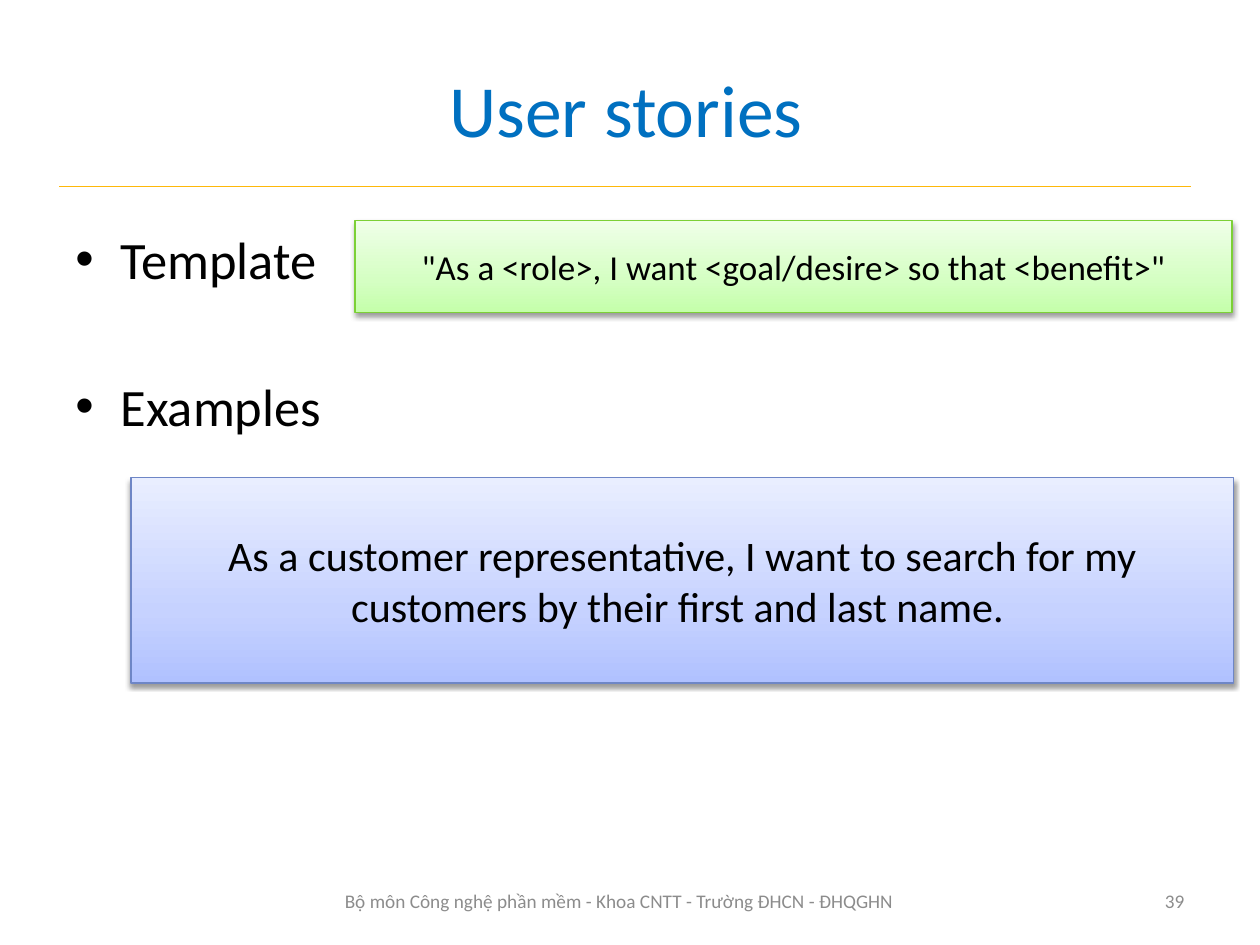
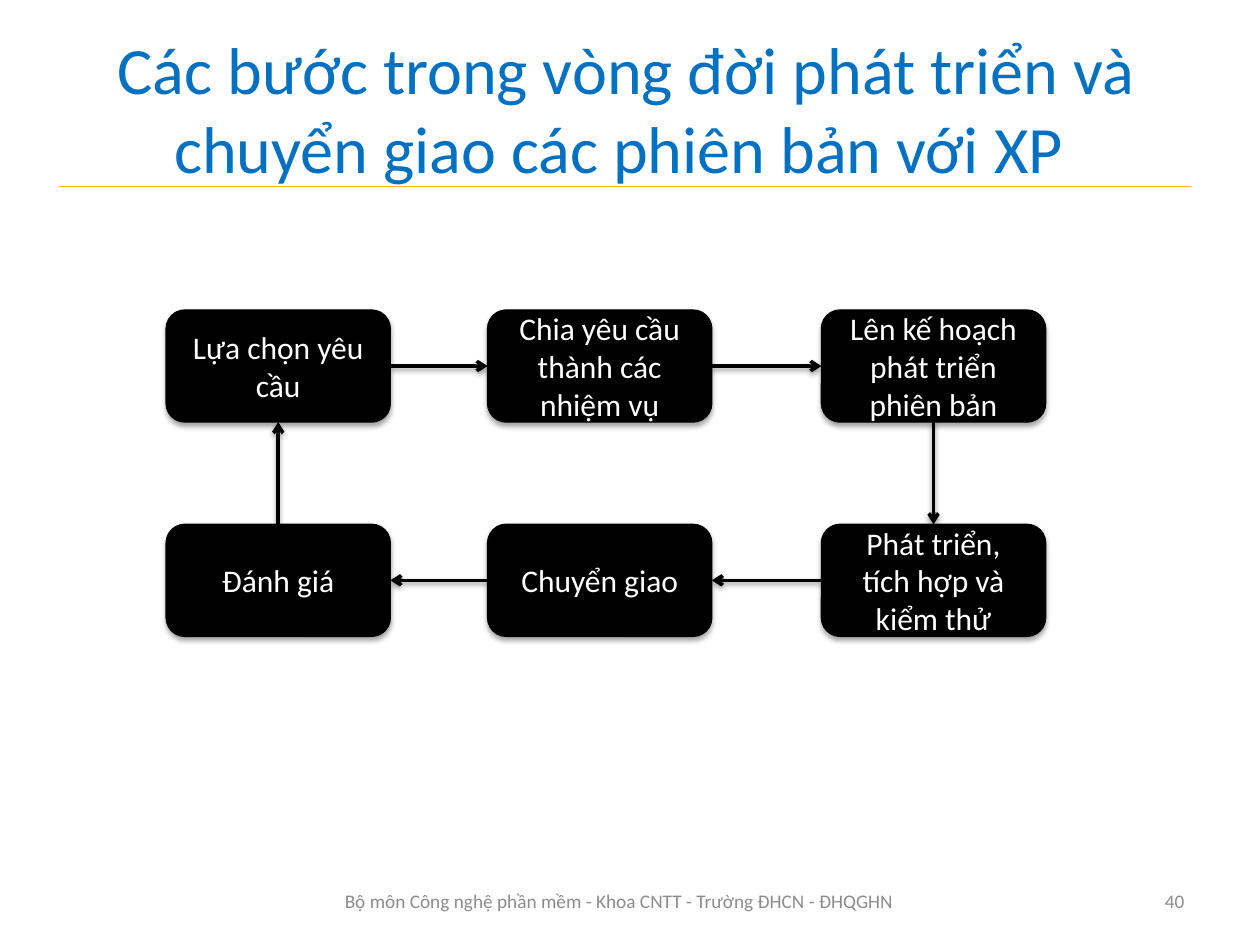
from lxml.etree import SubElement
from pptx import Presentation
from pptx.dml.color import RGBColor
from pptx.enum.shapes import MSO_CONNECTOR, MSO_SHAPE
from pptx.enum.text import MSO_ANCHOR, MSO_AUTO_SIZE, PP_ALIGN
from pptx.oxml.ns import qn
from pptx.util import Cm, Pt

FONT = "Calibri"
COLORS = {
    "title": "0070C0",
    "rule": "FEB80A",
    "footer": "8C8C8C",
    "black": "000000",
    "white": "FFFFFF",
    "green_line": "7CD036",
    "blue_line": "6E86C6",
}
GRADIENTS = {
    "green": ((0, "C4FFAA"), (35, "D5FFC3"), (100, "EFFFE8")),
    "blue": ((0, "B0C1FF"), (35, "C6D2FF"), (100, "E9EEFF")),
}
FOOTER = "Bộ môn Công nghệ phần mềm - Khoa CNTT - Trường ĐHCN - ĐHQGHN"
TOP, LEFT, BOTTOM, RIGHT = range(4)


def rgb(name):
    return RGBColor.from_string(COLORS[name])


def format_text(shape, size, color, align=PP_ALIGN.CENTER, anchor=MSO_ANCHOR.MIDDLE):
    frame = shape.text_frame
    frame.word_wrap = True
    frame.auto_size = MSO_AUTO_SIZE.NONE
    frame.vertical_anchor = anchor
    for paragraph in frame.paragraphs:
        paragraph.alignment = align
        for run in paragraph.runs:
            run.font.name = FONT
            run.font.size = Pt(size)
            run.font.color.rgb = rgb(color)


def add_text(slide, box, text, size, color, **layout):
    shape = slide.shapes.add_textbox(*map(Cm, box))
    shape.text_frame.text = text
    format_text(shape, size, color, **layout)
    return shape


def set_shadow(shape, opacity=38, distance=1.6):
    """Replace the theme effects by a soft shadow below the shape."""
    properties = shape._element.spPr
    effects = properties.find(qn("a:effectLst"))
    if effects is None:
        effects = SubElement(properties, qn("a:effectLst"))
    shadow = SubElement(effects, qn("a:outerShdw"), blurRad=str(Pt(3.1)),
                        dist=str(Pt(distance)), dir="5400000", rotWithShape="0")
    color = SubElement(shadow, qn("a:srgbClr"), val=COLORS["black"])
    SubElement(color, qn("a:alpha"), val=str(opacity * 1000))


def set_gradient(shape, stops):
    """Fill the shape from its bottom edge upwards."""
    properties = shape._element.spPr
    gradient = SubElement(properties, qn("a:gradFill"), rotWithShape="1")
    stop_list = SubElement(gradient, qn("a:gsLst"))
    for position, color in stops:
        stop = SubElement(stop_list, qn("a:gs"), pos=str(position * 1000))
        SubElement(stop, qn("a:srgbClr"), val=color)
    SubElement(gradient, qn("a:lin"), ang="16200000", scaled="0")
    properties.find(qn("a:prstGeom")).addnext(gradient)


def add_box(slide, kind, box, text, size, text_color, line_color):
    shape = slide.shapes.add_shape(kind, *map(Cm, box))
    shape.shadow.inherit = False
    shape.line.color.rgb = rgb(line_color)
    shape.line.width = Pt(0.75)
    shape.text_frame.text = text
    format_text(shape, size, text_color)
    return shape


def add_story_card(slide, box, text, size, theme):
    card = add_box(slide, MSO_SHAPE.RECTANGLE, box, text, size, "black", f"{theme}_line")
    set_gradient(card, GRADIENTS[theme])
    set_shadow(card)


def add_step(slide, left, top, text):
    step = add_box(slide, MSO_SHAPE.ROUNDED_RECTANGLE, (left, top, 4.52, 2.26),
                   text, 18, "white", "black")
    step.fill.solid()
    step.fill.fore_color.rgb = rgb("black")
    set_shadow(step, opacity=35, distance=1.8)
    return step


def add_line(slide, ends, color, width):
    line = slide.shapes.add_connector(MSO_CONNECTOR.STRAIGHT, *map(Cm, ends))
    line.line.color.rgb = rgb(color)
    line.line.width = Pt(width)
    SubElement(line._element.spPr, qn("a:effectLst"))
    return line


def add_arrow(slide, source, source_side, target, target_side):
    arrow = add_line(slide, (0, 0, 0, 0), "black", 2)
    arrow.begin_connect(source, source_side)
    arrow.end_connect(target, target_side)
    SubElement(arrow._element.spPr.find(qn("a:ln")), qn("a:tailEnd"), type="arrow")
    set_shadow(arrow)


def add_bullets(slide, box, items, size, gap):
    shape = add_text(slide, box, "\n".join(items), size, "black",
                     align=PP_ALIGN.LEFT, anchor=MSO_ANCHOR.TOP)
    for index, paragraph in enumerate(shape.text_frame.paragraphs):
        paragraph.space_before = Pt(gap if index else size * 0.2)
        properties = paragraph._p.get_or_add_pPr()
        properties.set("marL", str(Cm(0.91)))
        properties.set("indent", str(-Cm(0.91)))
        SubElement(properties, qn("a:buFont"), typeface="Arial")
        SubElement(properties, qn("a:buChar"), char="•")


def add_slide(presentation, title, title_size, number):
    slide = presentation.slides.add_slide(presentation.slide_layouts[5])
    add_line(slide, (1.19, 3.76, 24, 3.76), "rule", 0.75)
    heading = slide.shapes.title
    heading.left, heading.top, heading.width, heading.height = map(
        Cm, (1.19, 0.58, 22.86, 3.18))
    heading.text_frame.text = title
    format_text(heading, title_size, "title")
    add_text(slide, (6.35, 17.65, 12.27, 1.02), FOOTER, 11, "footer")
    add_text(slide, (18.21, 17.65, 5.92, 1.02), str(number), 11, "footer",
             align=PP_ALIGN.RIGHT)
    return slide


def add_user_stories(presentation):
    slide = add_slide(presentation, "User stories", 42, 39)
    add_bullets(slide, (1.27, 4.45, 22.86, 9.09), ("Template", "Examples"), 30, 48)
    add_story_card(slide, (7.16, 4.45, 17.68, 1.85),
                   '"As a <role>, I want <goal/desire> so that <benefit>"', 20, "green")
    add_story_card(slide, (2.64, 9.63, 22.23, 4.14),
                   "As a customer representative, I want to search for my "
                   "customers by their first and last name. ", 24, "blue")


def add_release_cycle(presentation):
    slide = add_slide(
        presentation,
        "Các bước trong vòng đời phát triển và chuyển giao các phiên bản với XP ",
        37.8, 40)
    columns = (3.35, 9.83, 16.56)
    upper_texts = ("Lựa chọn yêu cầu", "Chia yêu cầu thành các nhiệm vụ",
                   "Lên kế hoạch phát triển phiên bản")
    lower_texts = ("Đánh giá", "Chuyển giao", "Phát triển, tích hợp và kiểm thử")
    upper = [add_step(slide, left, 6.25, text) for left, text in zip(columns, upper_texts)]
    lower = [add_step(slide, left, 10.57, text) for left, text in zip(columns, lower_texts)]
    for index in range(len(columns) - 1):
        add_arrow(slide, upper[index], RIGHT, upper[index + 1], LEFT)
        add_arrow(slide, lower[index + 1], LEFT, lower[index], RIGHT)
    add_arrow(slide, upper[-1], BOTTOM, lower[-1], TOP)
    add_arrow(slide, lower[0], TOP, upper[0], BOTTOM)


def main():
    presentation = Presentation()
    presentation.slide_width = Cm(25.4)
    presentation.slide_height = Cm(19.05)
    add_user_stories(presentation)
    add_release_cycle(presentation)
    presentation.save("out.pptx")


if __name__ == "__main__":
    main()
